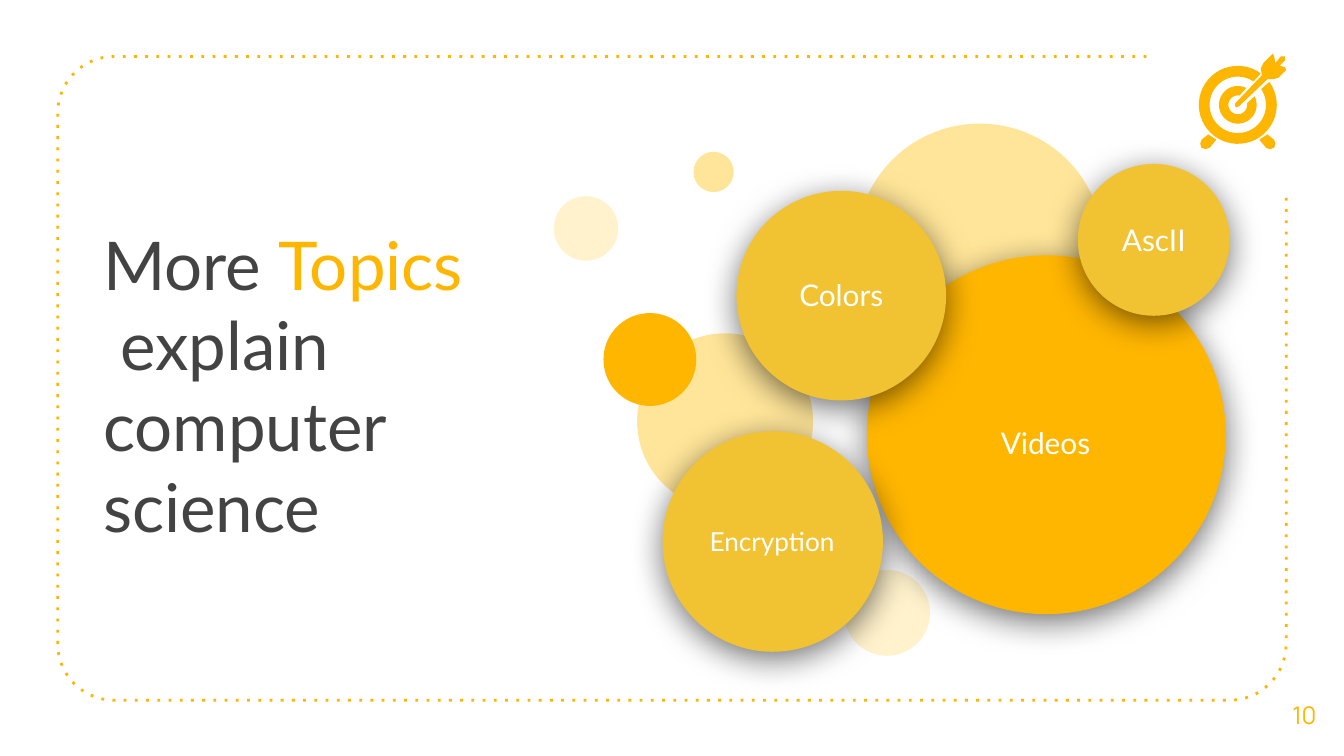
from math import cos, radians, sin

from lxml.etree import SubElement
from pptx import Presentation
from pptx.dml.color import RGBColor
from pptx.enum.shapes import MSO_SHAPE
from pptx.enum.text import MSO_ANCHOR, PP_ALIGN
from pptx.oxml.ns import qn
from pptx.util import Inches, Pt

WIDTH = 10
HEIGHT = WIDTH * 9 / 16
AMBER, GOLD, SAND, CREAM = "FFB600", "F1C232", "FFE599", "FFF2CC"
DARK, WHITE = "434343", "FFFFFF"

TITLE_LINES = [
    [("More ", DARK), ("Topics", AMBER)],
    [(" explain computer science", DARK)],
]
BACK_BUBBLES = [
    (6.28, 4.24, 0.64, CREAM),
    (4.12, 1.46, 0.48, CREAM),
    (4.74, 2.48, 1.31, SAND),
    (6.37, 0.92, 1.84, SAND),
    (4.49, 2.33, 0.69, AMBER),
    (5.16, 1.13, 0.3, SAND),
]
TOPIC_BUBBLES = [
    ("Videos", 16, (6.45, 1.9, 2.67, AMBER), (6.76, 2.66, 2.04, 1.27), AMBER),
    ("Colors", 16, (5.48, 1.42, 1.56, GOLD), (5.73, 1.68, 1.06, 1.03), None),
    ("Encryption", 14, (4.93, 3.21, 1.64, GOLD), (5.16, 3.51, 1.17, 1.03), None),
    ("AscII", 16, (8.02, 1.22, 1.13, GOLD), (8.2, 1.41, 0.77, 0.75), None),
]
FRAME_LEFT, FRAME_TOP, FRAME_RIGHT, FRAME_BOTTOM = 0.43, 0.42, 9.57, 5.21
FRAME_RADIUS = 0.42
TARGET_X, TARGET_Y = 9.21, 0.78
TARGET_RINGS = [((0.29, 9), (0.21, 11)), ((0.14, 18), (0.07, 35))]
FOOT = [(-0.22, 0.22), (-0.27, 0.26), (-0.28, 0.29), (-0.27, 0.32),
        (-0.24, 0.33), (-0.21, 0.32), (-0.16, 0.26)]
ARROW = [(0.26, -0.38), (0.19, -0.31), (0.17, -0.27), (0.18, -0.22),
         (-0.02, -0.01), (-0.02, 0.01), (-0.01, 0.02), (0.01, 0.01),
         (0.22, -0.19), (0.26, -0.19), (0.3, -0.2), (0.36, -0.26),
         (0.35, -0.28), (0.31, -0.29), (0.35, -0.33), (0.35, -0.36),
         (0.32, -0.36), (0.28, -0.31), (0.27, -0.36)]


def color(value):
    return RGBColor.from_string(value)


def paint(shape, value):
    shape.fill.solid()
    shape.fill.fore_color.rgb = color(value)
    shape.line.fill.background()


def arc(x, y, radius, start, end, steps=48):
    angles = [radians(start + (end - start) * i / steps) for i in range(steps + 1)]
    return [(x + radius * cos(a), y + radius * sin(a)) for a in angles]


def add_outline(slide, points, closed=True):
    corners = [(Inches(x), Inches(y)) for x, y in points]
    builder = slide.shapes.build_freeform(*corners[0])
    builder.add_line_segments(corners[1:], close=closed)
    shape = builder.convert_to_shape()
    shape.shadow.inherit = False
    return shape


def add_preset(slide, preset, box, fill):
    shape = slide.shapes.add_shape(preset, *map(Inches, box))
    shape.shadow.inherit = False
    paint(shape, fill)
    return shape


def add_circle(slide, left, top, size, fill):
    return add_preset(slide, MSO_SHAPE.OVAL, (left, top, size, size), fill)


def add_soft_shadow(shape):
    effects = shape._element.spPr.find(qn("a:effectLst"))
    shadow = SubElement(effects, qn("a:outerShdw"), blurRad=str(Pt(18)),
                        dist=str(Pt(4)), dir="5400000", algn="bl", rotWithShape="0")
    tint = SubElement(shadow, qn("a:srgbClr"), val="000000")
    SubElement(tint, qn("a:alpha"), val="55000")


def add_text(slide, box, lines, size, font="Lato", fill=None,
             align=PP_ALIGN.CENTER, anchor=MSO_ANCHOR.MIDDLE):
    if fill:
        shape = add_preset(slide, MSO_SHAPE.RECTANGLE, box, fill)
    else:
        shape = slide.shapes.add_textbox(*map(Inches, box))
    frame = shape.text_frame
    settings = {"word_wrap": True, "vertical_anchor": anchor}
    for side in ("left", "top", "right", "bottom"):
        settings[f"margin_{side}"] = Inches(0.1)
    for name, value in settings.items():
        setattr(frame, name, value)
    paragraph = frame.paragraphs[0]
    paragraph.alignment = align
    for index, line in enumerate(lines):
        if index:
            paragraph.add_line_break()
        for text, text_color in line:
            run = paragraph.add_run()
            run.text = text
            for name, value in {"name": font, "size": Pt(size)}.items():
                setattr(run.font, name, value)
            run.font.color.rgb = color(text_color)


def add_frame(slide):
    r = FRAME_RADIUS
    left, right, bottom = FRAME_LEFT + r, FRAME_RIGHT - r, FRAME_BOTTOM - r
    points = [(8.53, FRAME_TOP)]
    points += arc(left, FRAME_TOP + r, r, 270, 180, 16)
    points += arc(left, bottom, r, 180, 90, 16)
    points += arc(right, bottom, r, 90, 0, 16)
    points.append((FRAME_RIGHT, 1.46))
    shape = add_outline(slide, points, closed=False)
    shape.fill.background()
    shape.line.color.rgb = color(AMBER)
    shape.line.width = Pt(1.5)
    SubElement(shape._element.spPr.find(qn("a:ln")), qn("a:prstDash"), val="dot")


def add_target(slide):
    parts = [
        arc(TARGET_X, TARGET_Y, outer, outer_gap - 45, 315 - outer_gap)
        + arc(TARGET_X, TARGET_Y, inner, 315 - inner_gap, inner_gap - 45)
        for (outer, outer_gap), (inner, inner_gap) in TARGET_RINGS
    ]
    mirrored_foot = [(-x, y) for x, y in FOOT]
    for offsets in (FOOT, mirrored_foot, ARROW):
        parts.append([(TARGET_X + x, TARGET_Y + y) for x, y in offsets])
    for points in parts:
        paint(add_outline(slide, points), AMBER)


def main():
    presentation = Presentation()
    presentation.slide_width = Inches(WIDTH)
    presentation.slide_height = Inches(HEIGHT)
    slide = presentation.slides.add_slide(presentation.slide_layouts[6])

    add_frame(slide)
    add_text(slide, (0.67, 1.56, 2.97, 0.94), TITLE_LINES, 36,
             align=PP_ALIGN.LEFT, anchor=MSO_ANCHOR.TOP)
    add_text(slide, (9.41, 5.02, 0.59, 0.6), [[("10", AMBER)]], 13, font="Manrope")
    for bubble in BACK_BUBBLES:
        add_circle(slide, *bubble)
    for label, size, bubble, label_box, label_fill in TOPIC_BUBBLES:
        add_soft_shadow(add_circle(slide, *bubble))
        add_text(slide, label_box, [[(label, WHITE)]], size, fill=label_fill)
    add_target(slide)
    presentation.save("out.pptx")


if __name__ == "__main__":
    main()
